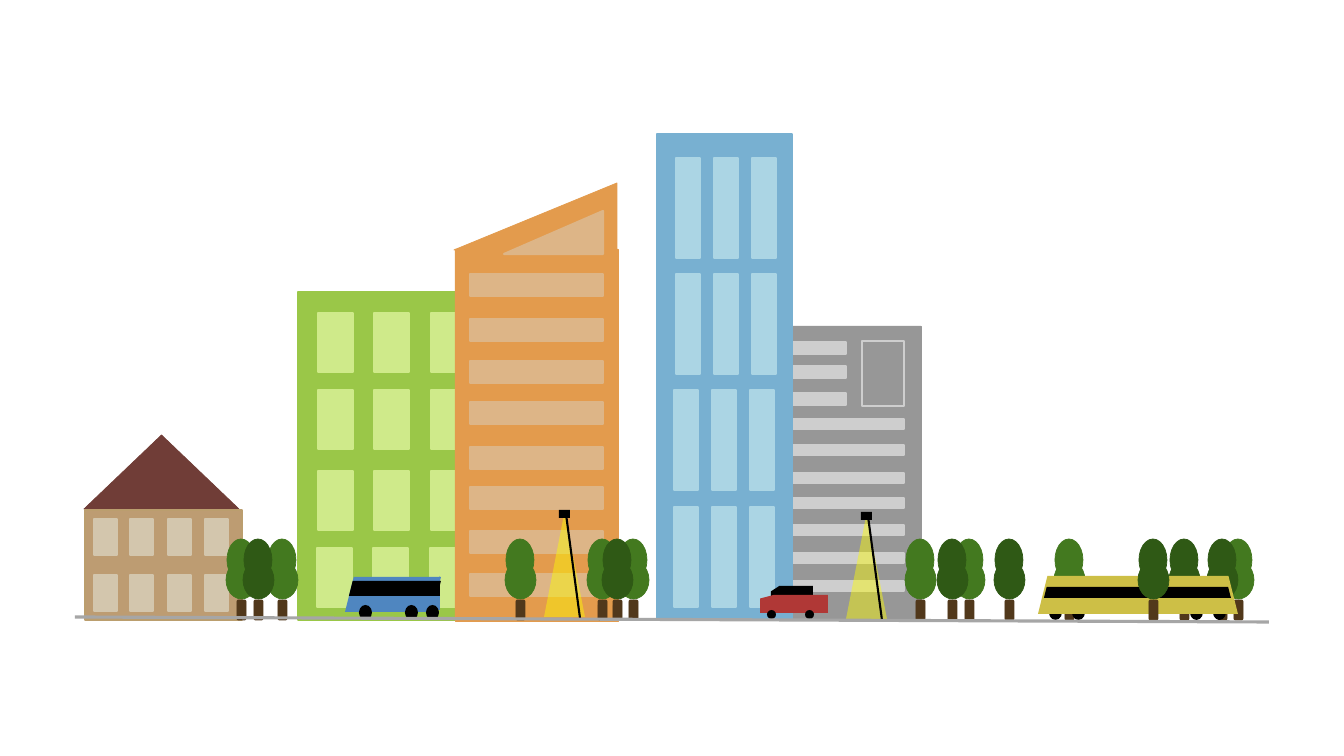
"""Draw a street of buildings, trees, lamps and vehicles on one slide."""
from itertools import product

from lxml.etree import SubElement
from pptx import Presentation
from pptx.dml.color import RGBColor
from pptx.enum.shapes import MSO_CONNECTOR, MSO_SHAPE as Kind
from pptx.oxml.ns import qn
from pptx.util import Pt

PX = 12192000 / 1344
COLORS = {
    "roof": "703D37", "house": "BD9C72", "house edge": "BB9E6E", "house window": "D3C6AD",
    "green block": "9AC748", "green window": "CFEA8A",
    "orange block": "E39B4D", "orange window": "DDB587",
    "grey block": "979797", "grey window": "CECECE",
    "tower": "78B0D1", "tower window": "ABD5E4",
    "trunk": "51381B", "light leaf": "43791F", "dark leaf": "2F5915",
    "van": "4F86C0", "coach": "CDBF46", "car": "B03836",
    "black": "000000", "beam": "FFFF00", "ground": "A6A6A6",
}


def draw(group, kind, box, fill=None, edge=None, width=1.5, flip=False):
    shape = group.shapes.add_shape(kind, *(round(v * PX) for v in box))
    shape.shadow.inherit = False
    if fill:
        shape.fill.solid()
        shape.fill.fore_color.rgb = RGBColor.from_string(COLORS[fill])
    else:
        shape.fill.background()
    if edge:
        shape.line.color.rgb = RGBColor.from_string(COLORS[edge])
        shape.line.width = Pt(width)
    else:
        shape.line.fill.background()
    if flip:
        shape.element.spPr.xfrm.set("flipH", "1")
    return shape


def plant(slide, left, leaf):
    tree = slide.shapes.add_group_shape()
    draw(tree, Kind.ROUNDED_RECTANGLE, (left, 600, 9, 20), "trunk", "trunk", 0.5)
    draw(tree, Kind.OVAL, (left - 11, 561, 31, 38), leaf, leaf, 0.5)
    draw(tree, Kind.OVAL, (left - 10, 539, 28, 42), leaf, leaf, 0.5)


deck = Presentation()
deck.slide_width, deck.slide_height = round(1344 * PX), round(756 * PX)
street = deck.slides.add_slide(deck.slide_layouts[6])

house = street.shapes.add_group_shape()
draw(house, Kind.ISOSCELES_TRIANGLE, (84, 435, 155, 74), "roof", "roof", 0.5)
draw(house, Kind.RECTANGLE, (85, 510, 157, 110), "house", "house edge")
for top, left in product((519, 575), (94, 130, 168, 205)):
    draw(house, Kind.RECTANGLE, (left, top, 23, 36), "house window", "house window")

green_block = street.shapes.add_group_shape()
draw(green_block, Kind.RECTANGLE, (298, 292, 190, 328), "green block", "green block")
for (top, shift), left in product(((313, 0), (390, 0), (471, 0), (548, -1)), (318, 374, 431)):
    draw(green_block, Kind.RECTANGLE, (left + shift, top, 35, 59), "green window", "green window")

orange_block = street.shapes.add_group_shape()
draw(orange_block, Kind.RIGHT_TRIANGLE, (454, 183, 163, 67), "orange block", "orange block", 0.5, True)
draw(orange_block, Kind.RECTANGLE, (455, 249, 163, 372), "orange block", "orange block", 0.5)
draw(orange_block, Kind.RIGHT_TRIANGLE, (504, 211, 99, 43), "orange window", "orange window", flip=True)
for top in (274, 319, 361, 402, 447, 487, 531, 574):
    draw(orange_block, Kind.RECTANGLE, (470, top, 133, 22), "orange window", "orange window")

grey_block = street.shapes.add_group_shape()
draw(grey_block, Kind.RECTANGLE, (771, 326, 150, 294), "grey block", "grey block", 0.5)
draw(grey_block, Kind.RECTANGLE, (862, 341, 42, 65), edge="grey window")
short_bands = [(top, 66, 12) for top in (342, 366, 393)]
long_bands = [(top, 124, 10) for top in (419, 445, 473, 498, 525, 553, 581)]
for top, width, height in short_bands + long_bands:
    draw(grey_block, Kind.RECTANGLE, (780, top, width, height), "grey window", "grey window")

tower = street.shapes.add_group_shape()
draw(tower, Kind.RECTANGLE, (657, 134, 135, 485), "tower", "tower")
for (top, shift), left in product(((158, 0), (274, 0), (390, -2), (507, -2)), (676, 714, 752)):
    draw(tower, Kind.RECTANGLE, (left + shift, top, 24, 100), "tower window", "tower window")

for left, leaf in ((1065, "light"), (1180, "dark"), (1234, "light"), (1218, "dark")):
    plant(street, left, f"{leaf} leaf")

van = street.shapes.add_group_shape()
draw(van, Kind.PARALLELOGRAM, (345, 577, 96, 35), "van")
draw(van, Kind.RIGHT_TRIANGLE, (422, 576, 18, 34), "van", flip=True)
for left in (359, 405, 426):
    draw(van, Kind.OVAL, (left, 605, 13, 15), "black")
draw(van, Kind.PARALLELOGRAM, (349, 581, 92, 15), "black")
draw(van, Kind.RIGHT_TRIANGLE, (423, 581, 17, 15), "black", flip=True)

coach = street.shapes.add_group_shape()
for left in (1049, 1072, 1190, 1213):
    draw(coach, Kind.FLOWCHART_CONNECTOR, (left, 605, 13, 15), "black")
draw(coach, Kind.TRAPEZOID, (1038, 576, 200, 38), "coach")
draw(coach, Kind.TRAPEZOID, (1044, 587, 187, 11), "black")

car = street.shapes.add_group_shape()
draw(car, Kind.FLOWCHART_CARD, (771, 586, 42, 27), "black")
draw(car, Kind.FLOWCHART_CARD, (760, 595, 68, 18), "car")
for left in (767, 805):
    draw(car, Kind.OVAL, (left, 610, 9, 9), "black")

front_trees = (
    (237, "light"), (278, "light"), (254, "dark"), (516, "light"), (598, "light"),
    (629, "light"), (613, "dark"), (916, "light"), (965, "light"), (948, "dark"),
    (1005, "dark"), (1149, "dark"),
)
for left, leaf in front_trees:
    plant(street, left, f"{leaf} leaf")

strokes = []
for left, top in ((544, 512), (846, 514)):
    lamp = street.shapes.add_group_shape()
    beam = draw(lamp, Kind.ISOSCELES_TRIANGLE, (left, top, 41, 105), "beam")
    beam_color = beam.element.spPr.find(qn("a:solidFill"))[0]
    SubElement(beam_color, qn("a:alpha"), val="44000")
    ends = (left + 22, top + 2, left + 36, top + 106)
    pole = lamp.shapes.add_connector(MSO_CONNECTOR.STRAIGHT, *(round(v * PX) for v in ends))
    strokes.append((pole, "black", 1.5))
    draw(lamp, Kind.RECTANGLE, (left + 15, top - 2, 11, 8), "black")

ground = street.shapes.add_connector(
    MSO_CONNECTOR.STRAIGHT, *(round(v * PX) for v in (75, 617, 1269, 622)))
strokes.append((ground, "ground", 2.25))
for stroke, color, width in strokes:
    stroke.line.color.rgb = RGBColor.from_string(COLORS[color])
    stroke.line.width = Pt(width)
    SubElement(stroke.element.spPr, qn("a:effectLst"))

deck.save("out.pptx")
